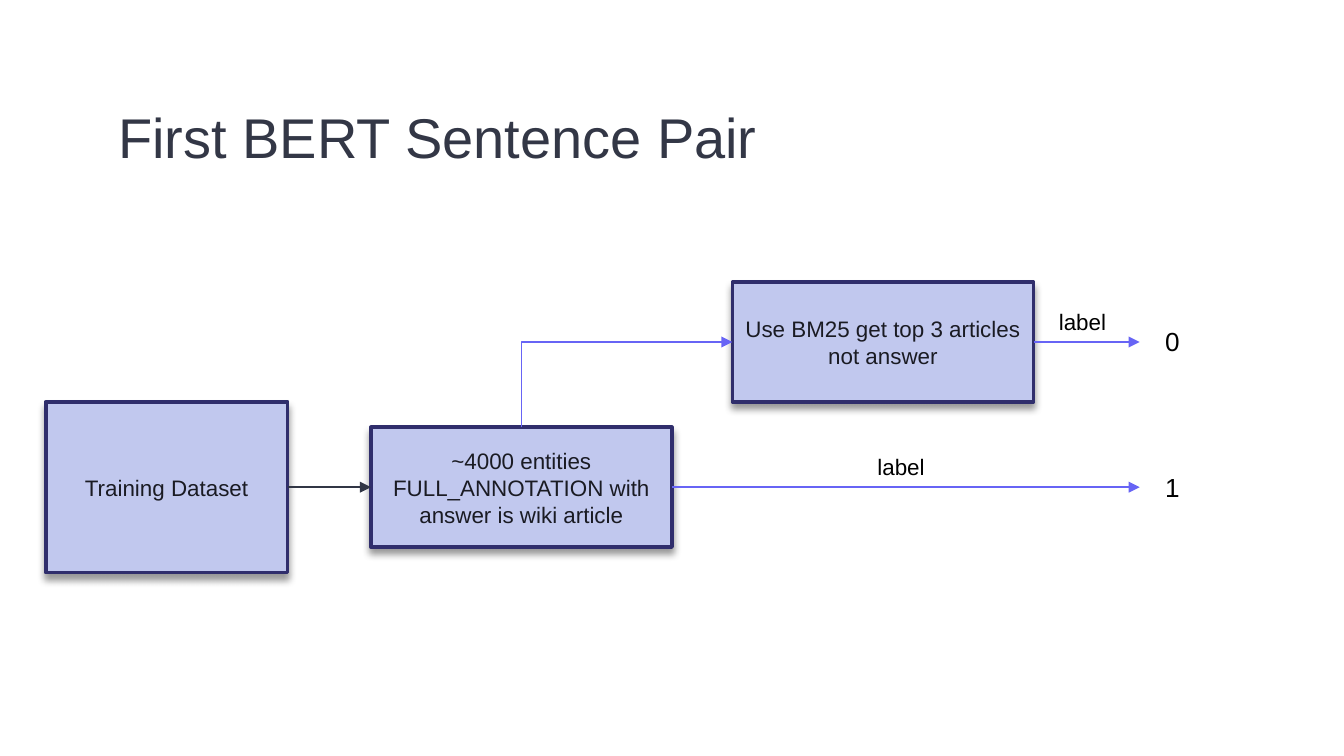
from lxml import etree
from pptx import Presentation
from pptx import util as u
from pptx.dml.color import RGBColor
from pptx.enum import shapes, text
from pptx.oxml import parse_xml
from pptx.oxml.ns import nsdecls, qn

COLORS = {
    "title": "333746", "fill": "C1C8EE", "border": "302E6C", "body": "1A1B23",
    "flow": "313645", "branch": "6764F5", "label": "000000", "shadow": "000000",
}
FONT = "Arial"
LEFT, RIGHT = 1, 3
ARROW_END = 8.48


def rgb(name):
    """Return the named palette colour."""
    return RGBColor.from_string(COLORS[name])


def format_runs(frame, size, color):
    """Give every run in the frame its font."""
    for paragraph in frame.paragraphs:
        for run in paragraph.runs:
            run.font.name = FONT
            run.font.size = u.Pt(size)
            run.font.color.rgb = rgb(color)


def place_title(slide, box, wording):
    """Place and format the title placeholder in the box."""
    title = slide.shapes.title
    title.left, title.top, title.width, title.height = map(u.Inches, box)
    frame = title.text_frame
    frame.text = wording
    frame.vertical_anchor = text.MSO_ANCHOR.MIDDLE
    frame.margin_left = frame.margin_right = u.Inches(0.1)
    frame.margin_top = frame.margin_bottom = u.Inches(0.1)
    frame.paragraphs[0].alignment = text.PP_ALIGN.LEFT
    frame.paragraphs[0].line_spacing = 1.15
    format_runs(frame, 30, "title")


def add_step(slide, box, wording):
    """Add a shadowed process step with centred text."""
    step = slide.shapes.add_shape(shapes.MSO_SHAPE.RECTANGLE, *map(u.Inches, box))
    step.fill.solid()
    step.fill.fore_color.rgb = rgb("fill")
    step.line.color.rgb = rgb("border")
    step.line.width = u.Pt(2)
    step._element.spPr.append(parse_xml(
        f'<a:effectLst {nsdecls("a")}><a:outerShdw blurRad="{u.Pt(4)}" dist="{u.Pt(3)}" '
        f'dir="5400000" algn="t" rotWithShape="0"><a:srgbClr val="{COLORS["shadow"]}">'
        '<a:alpha val="40000"/></a:srgbClr></a:outerShdw></a:effectLst>'))
    frame = step.text_frame
    frame.text = wording
    frame.word_wrap = True
    frame.vertical_anchor = text.MSO_ANCHOR.MIDDLE
    frame.margin_left = frame.margin_right = u.Inches(0.08)
    for paragraph in frame.paragraphs:
        paragraph.alignment = text.PP_ALIGN.CENTER
    format_runs(frame, 12, "body")
    return step


def add_arrow(slide, kind, begin, end, color):
    """Add a thin connector with a triangular head."""
    arrow = slide.shapes.add_connector(kind, *map(u.Inches, begin + end))
    arrow.line.color.rgb = rgb(color)
    arrow.line.width = u.Pt(0.75)
    etree.SubElement(arrow.line._get_or_add_ln(), qn("a:tailEnd"), type="triangle")
    etree.SubElement(arrow._element.spPr, qn("a:effectLst"))
    return arrow


def add_branch(slide, begin, end):
    """Add an arrow that leaves upwards and turns right once."""
    rise, run = begin[1] - end[1], end[0] - begin[0]
    middle_x, middle_y = (begin[0] + end[0]) / 2, (begin[1] + end[1]) / 2
    branch = add_arrow(slide, shapes.MSO_CONNECTOR.ELBOW,
                       (middle_x + rise / 2, middle_y + run / 2),
                       (middle_x - rise / 2, middle_y - run / 2), "branch")
    branch._element.spPr.find(qn("a:prstGeom")).set("prst", "bentConnector2")
    branch._element.spPr.find(qn("a:xfrm")).set("rot", "5400000")


def add_note(slide, box, wording, size, wrap):
    """Add a small plain text box."""
    note = slide.shapes.add_textbox(*map(u.Inches, box))
    note.text_frame.text = wording
    note.text_frame.word_wrap = wrap
    note.text_frame.auto_size = text.MSO_AUTO_SIZE.SHAPE_TO_FIT_TEXT
    format_runs(note.text_frame, size, "label")


def add_outcome(slide, step, middle_y, begin_x, value, label_x):
    """Draw the labelled arrow from a step to its class value."""
    arrow = add_arrow(slide, shapes.MSO_CONNECTOR.STRAIGHT,
                      (begin_x, middle_y), (ARROW_END, middle_y), "branch")
    arrow.begin_connect(step, RIGHT)
    add_note(slide, (ARROW_END + 0.09, middle_y - 0.17, 0.31, 0.34), value, 14, False)
    add_note(slide, (label_x, middle_y - 0.3, 0.62, 0.3), "label", 12, True)


def draw_flow(slide, box):
    """Draw the sentence pair flow inside the box."""
    left, top, width, height = box
    dataset_width, dataset_height = 1.8, 1.27
    step_width, step_height = 2.24, 0.89
    entities_x, articles_x = left + 2.42, left + 5.11
    middle_y = top + height - dataset_height / 2
    articles_y = top + step_height / 2
    entities_y = middle_y - step_height / 2

    dataset = add_step(slide, (left, top + height - dataset_height,
                               dataset_width, dataset_height), "Training Dataset")
    entities = add_step(slide, (entities_x, entities_y, step_width, step_height),
                        "~4000 entities\nFULL_ANNOTATION with answer is wiki article")
    articles = add_step(slide, (articles_x, top, step_width, step_height),
                        "Use BM25 get top 3 articles not answer")

    feed = add_arrow(slide, shapes.MSO_CONNECTOR.ELBOW, (left + dataset_width, middle_y),
                     (entities_x, middle_y), "flow")
    feed.begin_connect(dataset, RIGHT)
    feed.end_connect(entities, LEFT)
    add_branch(slide, (entities_x + step_width / 2, entities_y), (articles_x, articles_y))

    add_outcome(slide, articles, articles_y, articles_x + step_width, "0", left + 7.44)
    add_outcome(slide, entities, middle_y, entities_x + step_width, "1", left + 6.09)


def main():
    """Build and save the slide."""
    deck = Presentation()
    deck.slide_width = u.Inches(10)
    deck.slide_height = deck.slide_width * 9 // 16
    slide = deck.slides.add_slide(deck.slide_layouts[5])
    place_title(slide, (0.78, 0.59, 7.94, 0.77), "First BERT Sentence Pair")
    draw_flow(slide, (0.34, 2.1, 8.54, 2.16))
    deck.save("out.pptx")


if __name__ == "__main__":
    main()
